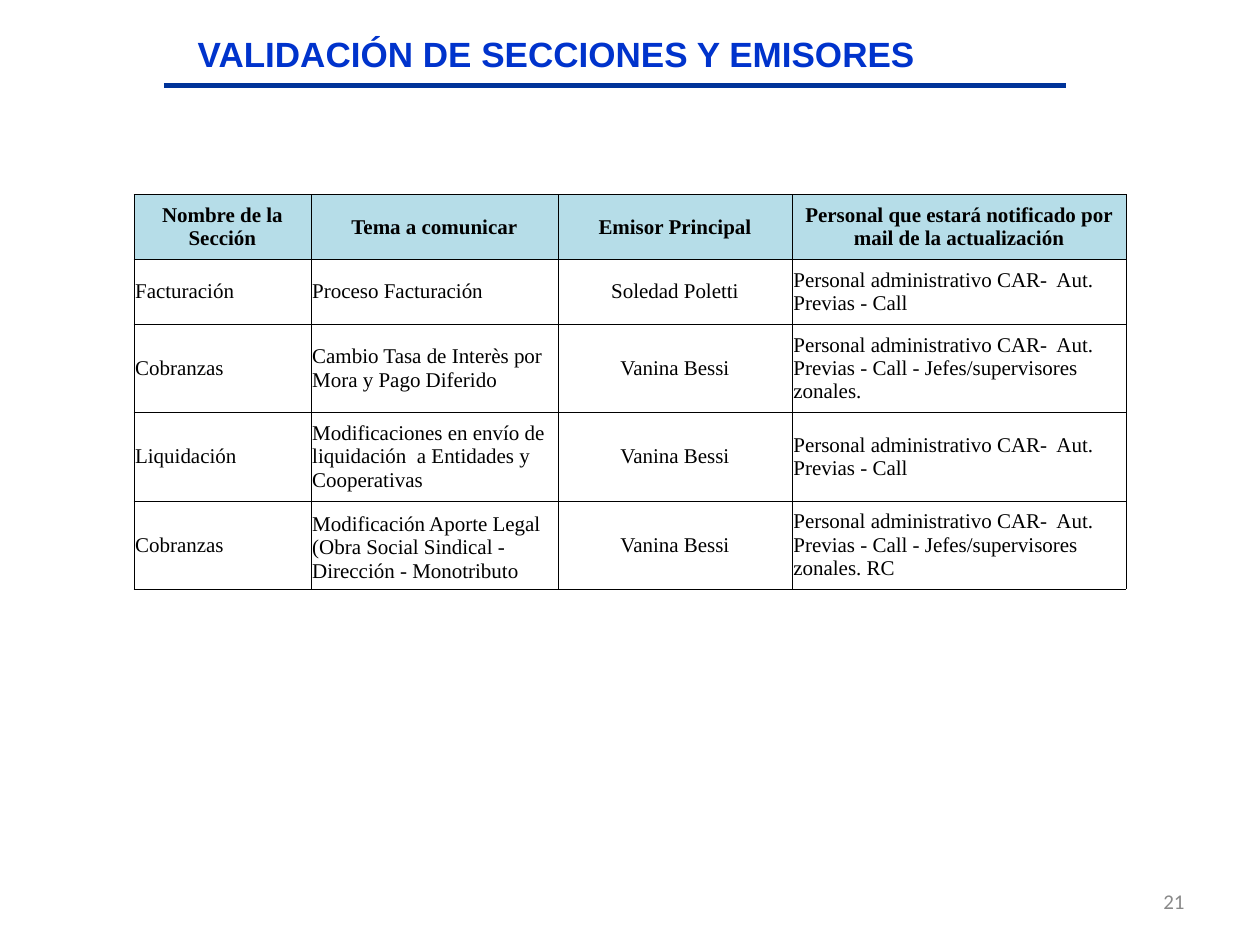
from typing import NamedTuple

from lxml import etree
from pptx import Presentation
from pptx.dml.color import RGBColor
from pptx.enum import shapes, text
from pptx.oxml.ns import qn
from pptx.util import Pt

COLORS = {
    "title": "0033CC",
    "rule": "003399",
    "header": "B6DDE8",
    "ink": "000000",
    "number": "898989",
}
LEFT, CENTER, RIGHT = text.PP_ALIGN.LEFT, text.PP_ALIGN.CENTER, text.PP_ALIGN.RIGHT
MIDDLE, BOTTOM = text.MSO_ANCHOR.MIDDLE, text.MSO_ANCHOR.BOTTOM


class Style(NamedTuple):
    font: str
    size: float
    color: str
    bold: bool = False
    align: text.PP_ALIGN = LEFT


class Section(NamedTuple):
    name: str
    topic: str
    issuer: str
    notified: str
    topic_anchor: text.MSO_ANCHOR = MIDDLE


TITLE = Style("Arial", 20, "title", bold=True)
NUMBER = Style("Calibri", 12, "number", align=RIGHT)
HEADER = Style("Times New Roman", 12, "ink", bold=True, align=CENTER)
BODY = Style("Times New Roman", 12, "ink")
ISSUER = BODY._replace(align=CENTER)

STAFF = "Personal administrativo CAR-  Aut. Previas - Call"
ZONES = STAFF + " - Jefes/supervisores zonales."
HEADINGS = ["Nombre de la Sección", "Tema a comunicar", "Emisor Principal",
            "Personal que estará notificado por mail de la actualización"]
SECTIONS = [
    Section("Facturación", "Proceso Facturación", "Soledad Poletti", STAFF),
    Section("Cobranzas", "Cambio Tasa de Interès por Mora y Pago Diferido",
            "Vanina Bessi", ZONES),
    Section("Liquidación",
            "Modificaciones en envío de liquidación  a Entidades y Cooperativas",
            "Vanina Bessi", STAFF),
    Section("Cobranzas",
            "Modificación Aporte Legal (Obra Social Sindical - Dirección - Monotributo",
            "Vanina Bessi", ZONES + " RC", BOTTOM),
]
COLUMN_WIDTHS = [101.2, 141.1, 133.9, 190.8]
ROW_HEIGHTS = [37.1, 37.1, 50.3, 50.3, 50.3]


def rgb(name: str) -> RGBColor:
    return RGBColor.from_string(COLORS[name])


def write(frame, words: str, style: Style) -> None:
    frame.text = words
    for para in frame.paragraphs:
        para.alignment = style.align
        for span in para.runs:
            span.font.name = style.font
            span.font.size = Pt(style.size)
            span.font.bold = style.bold
            span.font.color.rgb = rgb(style.color)


def add_border(cell, side: str, width: float) -> None:
    line = etree.SubElement(cell._tc.get_or_add_tcPr(), qn(f"a:{side}"), w=str(Pt(width)))
    fill = etree.SubElement(line, qn("a:solidFill"))
    etree.SubElement(fill, qn("a:srgbClr"), val=COLORS["ink"])


def fill_cell(cell, words: str, style: Style, anchor, is_header: bool) -> None:
    write(cell.text_frame, words, style)
    cell.vertical_anchor = anchor
    cell.margin_left = cell.margin_right = Pt(0.72)
    cell.margin_top = cell.margin_bottom = Pt(3.6)
    for side in ("lnL", "lnR", "lnT", "lnB"):
        add_border(cell, side, 0.45 if is_header and side == "lnT" else 0.23)
    if is_header:
        cell.fill.solid()
        cell.fill.fore_color.rgb = rgb("header")
    else:
        cell.fill.background()


def add_sections_table(page) -> None:
    frame = page.shapes.add_table(len(ROW_HEIGHTS), len(COLUMN_WIDTHS), Pt(76.5), Pt(111.2),
                                  Pt(sum(COLUMN_WIDTHS)), Pt(sum(ROW_HEIGHTS)))
    table = frame.table
    table.first_row = table.horz_banding = False
    for column, width in zip(table.columns, COLUMN_WIDTHS):
        column.width = Pt(width)
    for row, height in zip(table.rows, ROW_HEIGHTS):
        row.height = Pt(height)
    for cell, words in zip(table.rows[0].cells, HEADINGS):
        fill_cell(cell, words, HEADER, MIDDLE, True)
    for index, section in enumerate(SECTIONS, start=1):
        styles = (BODY, BODY, ISSUER, BODY)
        anchors = (MIDDLE, section.topic_anchor, MIDDLE, MIDDLE)
        for cell, words, style, anchor in zip(table.rows[index].cells, section, styles, anchors):
            fill_cell(cell, words, style, anchor, False)


def add_rule(page) -> None:
    rule = page.shapes.add_connector(shapes.MSO_CONNECTOR.STRAIGHT,
                                     Pt(93.6), Pt(48.8), Pt(609.1), Pt(48.8))
    rule.line.color.rgb = rgb("rule")
    rule.line.width = Pt(3)
    etree.SubElement(rule._element.spPr, qn("a:effectLst"))


def add_title(page) -> None:
    title = page.shapes.title
    title.left, title.top, title.width, title.height = Pt(105.8), Pt(15.1), Pt(426.2), Pt(31.7)
    frame = title.text_frame
    write(frame, "VALIDACIÓN DE SECCIONES Y EMISORES", TITLE)
    frame.word_wrap = False
    frame.auto_size = text.MSO_AUTO_SIZE.SHAPE_TO_FIT_TEXT
    frame.vertical_anchor = text.MSO_ANCHOR.TOP


def add_page_number(page) -> None:
    box = page.shapes.add_textbox(Pt(516.2), Pt(500.4), Pt(167.8), Pt(28.8))
    box.text_frame.word_wrap = True
    box.text_frame.vertical_anchor = MIDDLE
    write(box.text_frame, "21", NUMBER)


def main() -> None:
    deck = Presentation()
    deck.slide_width, deck.slide_height = Pt(720), Pt(540)
    page = deck.slides.add_slide(deck.slide_layouts[5])  # title only
    add_rule(page)
    add_page_number(page)
    add_sections_table(page)
    add_title(page)
    deck.save("out.pptx")


if __name__ == "__main__":
    main()
